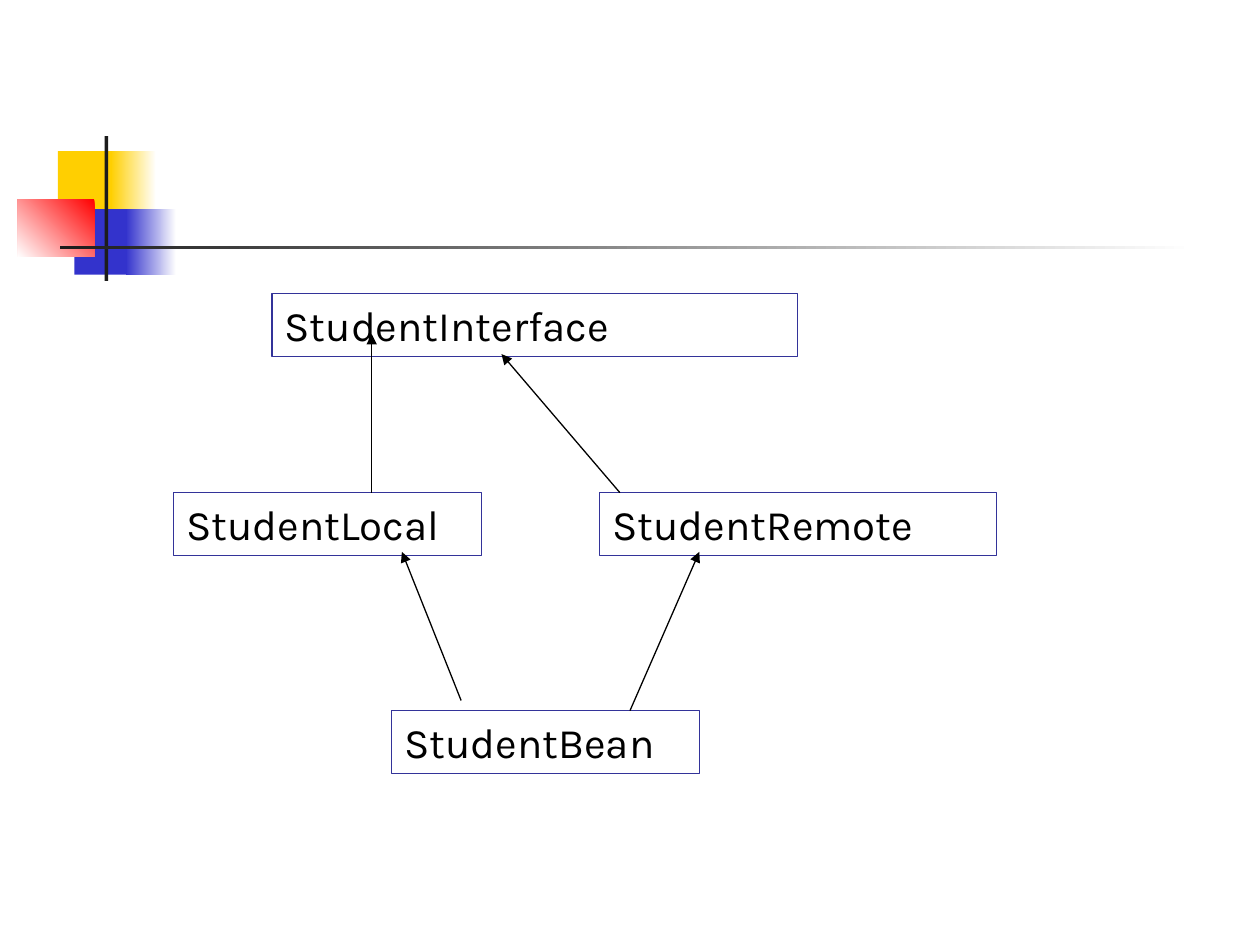
import pptx
import pptx.dml.color
import pptx.enum.shapes
import pptx.enum.text
import pptx.oxml
import pptx.oxml.ns
import pptx.util

Inches = pptx.util.Inches
Pt = pptx.util.Pt
RECT = pptx.enum.shapes.MSO_SHAPE.RECTANGLE
STRAIGHT = pptx.enum.shapes.MSO_CONNECTOR.STRAIGHT
NS = pptx.oxml.ns.nsdecls("a")


def color(code):
    return pptx.dml.color.RGBColor.from_string(code)


class Page:
    """Holds the style and the current slide."""
    font, size, ink, edge, thin = "Karla", 24, "000000", "333399", 0.75

    def __init__(self, slide):
        self.shapes = slide.shapes

    def rect(self, *place):
        shape = self.shapes.add_shape(RECT, *map(Inches, place))
        shape.shadow.inherit = False
        shape.line.fill.background()
        return shape

    def block(self, place, fill):
        shape = self.rect(*place)
        shape.fill.solid()
        shape.fill.fore_color.rgb = color(fill)

    def fade(self, place, start, end, angle=180):
        """Draw a gradient block; the angle runs counter-clockwise."""
        fill = self.rect(*place).fill
        fill.gradient()
        fill.gradient_angle = angle
        for stop, code, spot in zip(fill.gradient_stops, (start, end), (0, 1)):
            stop.color.rgb = color(code)
            stop.position = spot

    def box(self, text, left, top, width):
        shape = self.rect(left, top, width, 0.5)
        shape.fill.background()
        shape.line.color.rgb = color(self.edge)
        shape.line.width = Pt(self.thin)
        frame = shape.text_frame
        frame.word_wrap = True
        frame.auto_size = pptx.enum.text.MSO_AUTO_SIZE.SHAPE_TO_FIT_TEXT
        frame.vertical_anchor = pptx.enum.text.MSO_ANCHOR.TOP
        frame.text = text
        para = frame.paragraphs[0]
        para.alignment = pptx.enum.text.PP_ALIGN.LEFT
        para.font.name = self.font
        para.font.size = Pt(self.size)
        para.font.color.rgb = color(self.ink)

    def arrow(self, *ends):
        link = self.shapes.add_connector(STRAIGHT, *map(Inches, ends))
        link.line.color.rgb = color(self.ink)
        link.line.width = Pt(self.thin)
        head = pptx.oxml.parse_xml(f'<a:tailEnd {NS} type="triangle"/>')
        link.line._get_or_add_ln().append(head)
        link._element.spPr.append(pptx.oxml.parse_xml(f"<a:effectLst {NS}/>"))


def main():
    deck = pptx.Presentation()
    deck.slide_width, deck.slide_height = Inches(10), Inches(7.5)
    page = Page(deck.slides.add_slide(deck.slide_layouts[6]))

    white, gold, blue, red, dark = "FFFFFF", "FFCF01", "3333CC", "FF0000", "1C1C1C"
    page.block((0.46, 1.2, 0.48, 0.52), gold)
    page.fade((0.88, 1.2, 0.36, 0.52), white, gold)
    page.block((0.59, 1.66, 0.46, 0.52), blue)
    page.fade((1, 1.66, 0.4, 0.52), white, blue)
    page.fade((0.14, 1.58, 0.61, 0.46), red, white, 225)
    page.block((0.83, 1.08, 0.03, 1.15), dark)
    page.fade((0.48, 1.95, 9, 0.03), white, dark)

    page.box("StudentInterface", 2.16, 2.33, 4.17)
    page.box("StudentLocal", 1.38, 3.91, 2.44)
    page.box("StudentRemote", 4.76, 3.91, 3.15)
    page.arrow(2.95, 3.91, 2.95, 2.65)
    page.arrow(4.92, 3.91, 3.98, 2.81)
    page.box("StudentBean", 3.11, 5.64, 2.44)
    page.arrow(3.66, 5.56, 3.19, 4.38)
    page.arrow(5, 5.64, 5.55, 4.38)

    deck.save("out.pptx")


if __name__ == "__main__":
    main()
